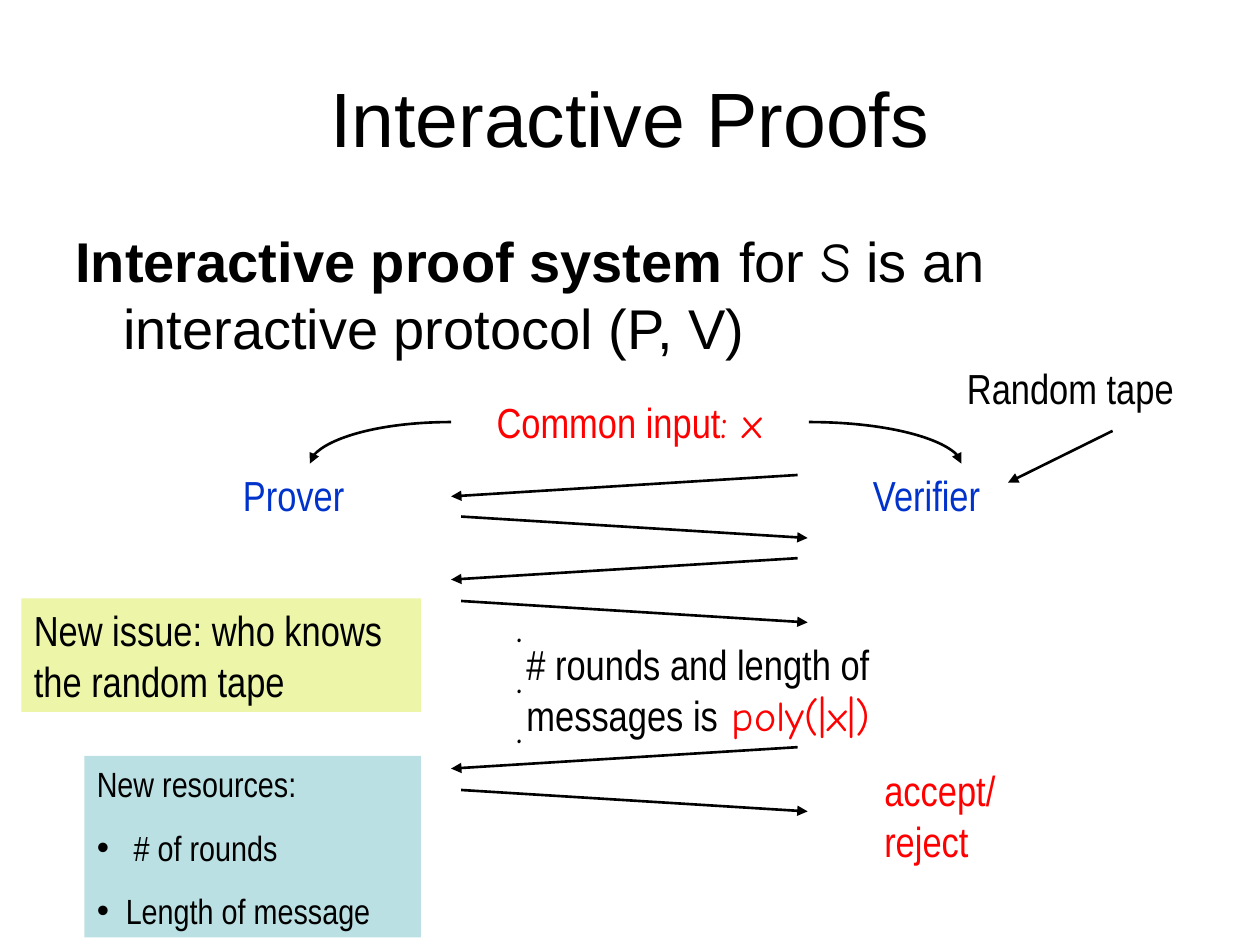
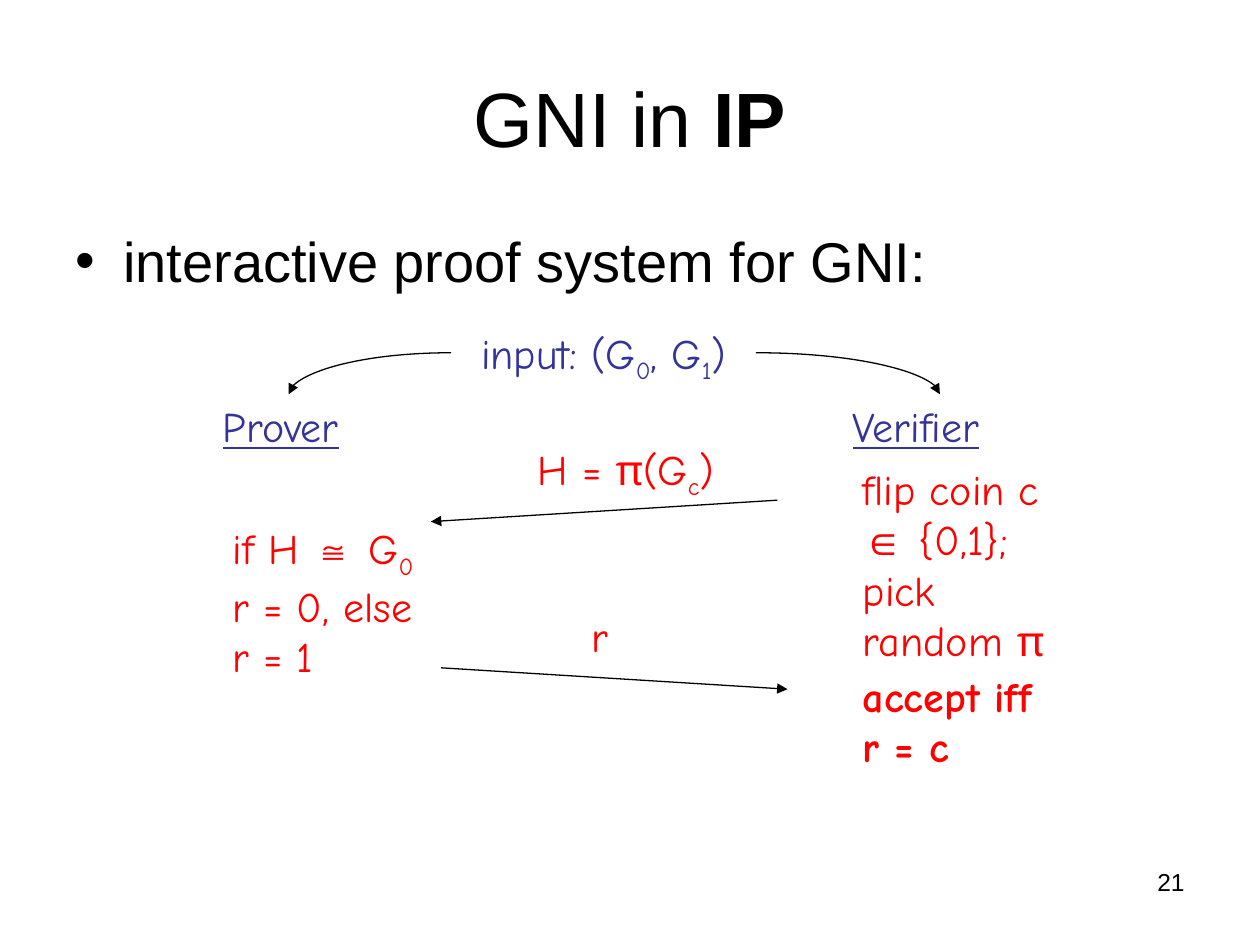
from dataclasses import dataclass

from lxml.etree import SubElement
from pptx import Presentation
from pptx.dml.color import RGBColor
from pptx.enum.shapes import MSO_CONNECTOR as Connector, MSO_SHAPE as Shape
from pptx.enum.text import MSO_ANCHOR as Anchor, PP_ALIGN as Align
from pptx.oxml.ns import qn
from pptx.util import Inches, Pt


@dataclass(frozen=True)
class Theme:
    black: str = "000000"
    red: str = "FF0000"
    blue: str = "0033CC"
    indigo: str = "333399"
    aqua: str = "BBE0E3"
    lime: str = "EDF6A8"
    sans: str = "Arial"
    narrow: str = "Arial Narrow"
    hand: str = "Comic Neue"
    title: int = 44
    body: int = 32
    label: int = 24
    note: int = 20
    number: int = 14


T = Theme()
SUB = {"sub": True}
HAND = {"font": T.hand}
SANS = {"font": T.sans}
BOLD = {"bold": True}
UNDERLINE = {"underline": True}

# Content: a paragraph is a list of runs, a run is (text, what differs from its box).
# A label is (left, top, width, height), paragraphs, box style.
PROOFS = {
    "title": [("Interactive Proofs", {})],
    "body": [("Interactive proof system", BOLD), (" for ", {}), ("S", HAND),
             (" is an interactive protocol (P, V)", {})],
    "bulleted": False,
    "font": T.narrow,
    "labels": [
        ((1.83, 3.68, 1.25, 0.5), [[("Prover", {})]], {"color": T.blue}),
        ((6.83, 3.68, 1.58, 0.5), [[("Verifier", {})]], {"color": T.blue}),
        ((4, 4.72, 0.33, 1.3), [[(". . .", HAND)]], {}),
        ((3.58, 3.1, 2.83, 0.5), [[("Common input", {}), (": x", HAND)]],
         {"color": T.red, "align": Align.CENTER}),
        ((6.92, 6.02, 1.17, 0.9), [[("accept/reject", {})]], {"color": T.red}),
        ((4.08, 5.02, 3.33, 0.9),
         [[("# rounds and length of messages is", {}),
           (" poly(|x|)", {"font": T.hand, "color": T.red})]], {}),
        ((7.08, 2.83, 2.83, 0.5), [[("Random tape", {})]], {"align": Align.CENTER}),
        ((0.67, 6, 2.67, 1.44),
         [[("New resources:", {})], [(" # of rounds", {})], [("Length of message", {})]],
         {"fill": T.aqua, "size": T.note, "bullets_from": 1, "bullet_indent": 0.23,
          "space": 12.5}),
        ((0.17, 4.75, 3.17, 0.9), [[("New issue: who knows the random tape", {})]],
         {"fill": T.lime}),
    ],
    "line_width": 1.5,
    "input_arrows": [((3.58, 3.35), (2.46, 3.68)), ((6.42, 3.35), (7.63, 3.68))],
    "message_left": 3.58,
    "to_prover": [3.77, 4.43, 5.93],
    "to_verifier": [4.1, 4.77, 6.27],
    "tape_arrow": ((8.83, 3.42), (8, 3.83)),
}

GNI = {
    "title": [("GNI in ", {}), ("IP", BOLD)],
    "body": [("interactive proof system for GNI:", {})],
    "bulleted": True,
    "font": T.hand,
    "labels": [
        ((1.67, 3.13, 1.25, 0.5), [[("Prover", UNDERLINE)]], {"color": T.indigo}),
        ((6.67, 3.13, 1.58, 0.5), [[("Verifier", UNDERLINE)]], {"color": T.indigo}),
        ((3.58, 2.55, 2.42, 0.56),
         [[("input: (G", {}), ("0", SUB), (", G", {}), ("1", SUB), (")", {})]],
         {"color": T.indigo, "align": Align.CENTER}),
        ((6.75, 3.63, 1.67, 1.7),
         [[("flip coin c ", {}), ("∈", SANS), (" {0,1}; pick random π", {})]],
         {"color": T.red}),
        ((4.17, 3.47, 1.83, 0.56), [[("H = π(G", {}), ("c", SUB), (")", {})]],
         {"color": T.red}),
        ((1.75, 4.1, 1.67, 1.36),
         [[("if H ", {}), ("≅", SANS), (" G", {}), ("0", SUB),
           (" r = 0, else r = 1", {})]], {"color": T.red}),
        ((4.6, 4.8, 0.33, 0.5), [[("r", {})]], {"color": T.red, "wrap": False}),
        ((6.75, 5.27, 1.67, 0.9), [[("accept iff r = c", BOLD)]], {"color": T.red}),
    ],
    "line_width": 0.75,
    "input_arrows": [((3.58, 2.8), (2.29, 3.13)), ((6, 2.8), (7.46, 3.13))],
    "message_left": 3.42,
    "to_prover": [3.97],
    "to_verifier": [5.3],
    "number": "21",
}

TITLE_BOX = (0.5, 0.3, 9, 1.25)
BODY_BOX = (0.5, 1.75, 9, 4.95)
NUMBER_BOX = (7.17, 6.83, 2.33, 0.52)
HANGING = 0.38
MESSAGE_SPAN, MESSAGE_DROP, MESSAGE_SHIFT = 2.75, 0.17, 0.08


def set_indent(paragraph, hanging, bulleted):
    props = paragraph._p.get_or_add_pPr()
    props.set("marL", str(Inches(hanging)))
    props.set("indent", str(-Inches(hanging)))
    if bulleted:
        SubElement(props, qn("a:buFont")).set("typeface", T.sans)
        SubElement(props, qn("a:buChar")).set("char", "•")


def add_text(slide, box, paragraphs, font, size=T.label, color=T.black, align=Align.LEFT,
             anchor=Anchor.TOP, fill=None, wrap=True, space=0, hanging=0,
             bullets_from=None, bullet_indent=HANGING):
    place = [Inches(length) for length in box]
    if fill:
        holder = slide.shapes.add_shape(Shape.RECTANGLE, *place)
        holder.shadow.inherit = False
        holder.fill.solid()
        holder.fill.fore_color.rgb = RGBColor.from_string(fill)
        holder.line.fill.background()
    else:
        holder = slide.shapes.add_textbox(*place)
    frame = holder.text_frame
    frame.word_wrap = wrap
    frame.vertical_anchor = anchor

    for index, runs in enumerate(paragraphs):
        paragraph = frame.add_paragraph() if index else frame.paragraphs[0]
        paragraph.alignment = align
        if index:
            paragraph.space_before = Pt(space)
        if bullets_from is not None and index >= bullets_from:
            set_indent(paragraph, bullet_indent, True)
        elif hanging:
            set_indent(paragraph, hanging, False)
        for text, style in runs:
            run = paragraph.add_run()
            run.text = text
            run.font.name = style.get("font", font)
            run.font.size = Pt(size)
            run.font.color.rgb = RGBColor.from_string(style.get("color", color))
            run.font.bold = style.get("bold", False)
            run.font.underline = style.get("underline", False)
            if style.get("sub"):
                run.font._element.set("baseline", "-25000")


def add_arrow(slide, start, end, width, curved=False):
    kind = Connector.CURVE if curved else Connector.STRAIGHT
    ends = [Inches(length) for length in (*start, *end)]
    arrow = slide.shapes.add_connector(kind, *ends)
    arrow.line.width = Pt(width)
    arrow.line.color.rgb = RGBColor.from_string(T.black)
    props = arrow._element.spPr
    if curved:
        props.find(qn("a:prstGeom")).set("prst", "curvedConnector2")
    SubElement(props.find(qn("a:ln")), qn("a:tailEnd")).set("type", "triangle")
    SubElement(props, qn("a:effectLst"))


def build_slide(deck, content):
    slide = deck.slides.add_slide(deck.slide_layouts[6])

    # Title, statement and slide number
    add_text(slide, TITLE_BOX, [content["title"]], T.sans, T.title,
             align=Align.CENTER, anchor=Anchor.MIDDLE)
    add_text(slide, BODY_BOX, [content["body"]], T.sans, T.body, hanging=HANGING,
             bullets_from=0 if content["bulleted"] else None)
    if "number" in content:
        add_text(slide, NUMBER_BOX, [[(content["number"], {})]], T.sans, T.number,
                 align=Align.RIGHT)

    # Input and random tape
    width = content["line_width"]
    for start, end in content["input_arrows"]:
        add_arrow(slide, start, end, width, curved=True)
    if "tape_arrow" in content:
        add_arrow(slide, *content["tape_arrow"], width)

    # Messages between prover and verifier
    left = content["message_left"]
    right = left + MESSAGE_SPAN
    for top in content["to_prover"]:
        add_arrow(slide, (right, top), (left, top + MESSAGE_DROP), width)
    for top in content["to_verifier"]:
        add_arrow(slide, (left + MESSAGE_SHIFT, top),
                  (right + MESSAGE_SHIFT, top + MESSAGE_DROP), width)

    # Labels and notes
    for box, paragraphs, style in content["labels"]:
        add_text(slide, box, paragraphs, content["font"], **style)


def main():
    deck = Presentation()
    deck.slide_width, deck.slide_height = Inches(10), Inches(7.5)
    for content in (PROOFS, GNI):
        build_slide(deck, content)
    deck.save("out.pptx")


if __name__ == "__main__":
    main()
